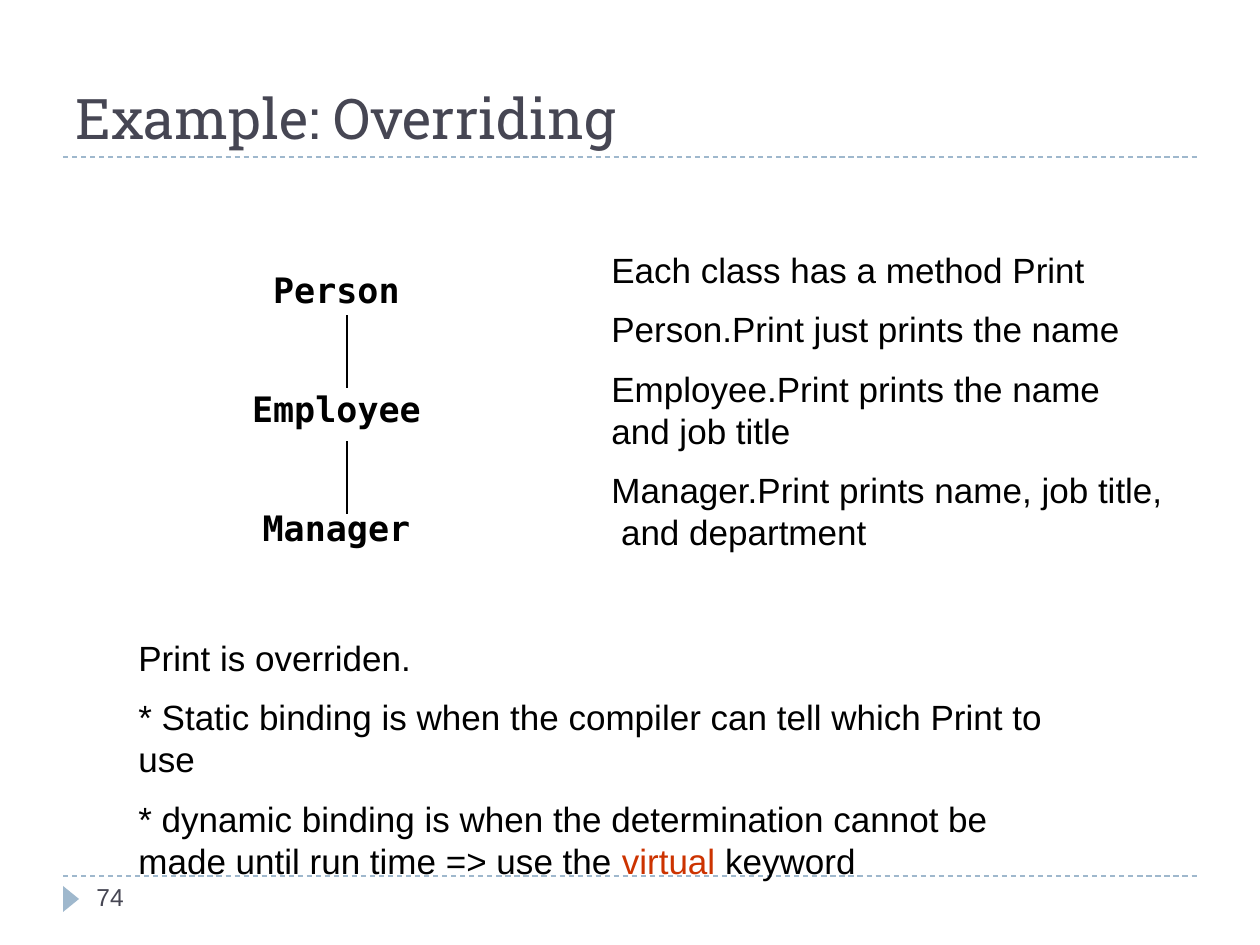
"""Builds the slide on overriding a Print method across three classes."""
from lxml import etree
from pptx import Presentation, util as u
from pptx.dml.color import RGBColor
from pptx.enum import dml, shapes, text
from pptx.oxml.ns import qn

COLORS = {"ink": "000000", "heading": "464653", "accent": "9FB8CD", "keyword": "CC3300"}
SCALE = u.Inches(1) / 126


def px(length):
    return u.Emu(round(length * SCALE))


class SlideBuilder:
    def __init__(self, deck):
        self.page = deck.slides.add_slide(deck.slide_layouts[6])
        self.body_font = "Arial"

    def color(self, name):
        return RGBColor.from_string(COLORS[name])

    def line(self, x1, y1, x2, y2, color, width, dash=None):
        line = self.page.shapes.add_connector(
            shapes.MSO_CONNECTOR.STRAIGHT, px(x1), px(y1), px(x2), px(y2))
        line.line.color.rgb = self.color(color)
        line.line.width = u.Pt(width)
        if dash:
            line.line.dash_style = dash
        etree.SubElement(line._element.spPr, qn("a:effectLst"))

    def triangle(self, x, y, width, height, rotation, color):
        marker = self.page.shapes.add_shape(
            shapes.MSO_SHAPE.ISOSCELES_TRIANGLE, px(x), px(y), px(width), px(height))
        marker.rotation = rotation
        marker.shadow.inherit = False
        marker.fill.solid()
        marker.fill.fore_color.rgb = self.color(color)
        marker.line.fill.background()

    def text(self, x, y, width, height, paragraphs, size=20, font=None, color="ink", bold=False,
             align=text.PP_ALIGN.LEFT, anchor=text.MSO_ANCHOR.TOP, leading=None, gap=0):
        box = self.page.shapes.add_textbox(px(x), px(y), px(width), px(height))
        frame = box.text_frame
        frame.word_wrap = True
        frame.vertical_anchor = anchor
        frame.text = "\n".join(paragraphs)
        for index, para in enumerate(frame.paragraphs):
            para.alignment = align
            if leading:
                para.line_spacing = u.Pt(leading)
            if index:
                para.space_before = u.Pt(gap)
            for span in para.runs:
                self.style(span, size, font or self.body_font, color, bold)
        return frame

    def style(self, span, size, font, color, bold=False):
        span.font.size = u.Pt(size)
        span.font.name = font
        span.font.bold = bold
        span.font.color.rgb = self.color(color)

    def append(self, para, wording, color):
        span = para.add_run()
        span.text = wording
        self.style(span, 20, self.body_font, color)


def main():
    deck = Presentation()
    deck.slide_width, deck.slide_height = px(1260), px(945)
    slide = SlideBuilder(deck)

    for y in (876, 157):
        slide.line(63, y, 1197, y, "accent", 0.75, dml.MSO_LINE.DASH)
    slide.triangle(58, 891, 26, 16, 90, "accent")
    slide.text(84, 876, 273, 50, ["74"], size=14, color="heading")
    slide.text(63, 21, 1134, 136, ["Example: Overriding"], size=32, font="Roboto Slab",
               color="heading", anchor=text.MSO_ANCHOR.BOTTOM)

    slide.text(116, 262, 441, 306, ["Person", "Employee", "Manager"], font="DejaVu Sans Mono",
               bold=True, align=text.PP_ALIGN.CENTER, leading=24, gap=44)
    for top in (315, 441):
        slide.line(347, top, 347, top + 73, "ink", 1)

    slide.text(599, 242, 577, 330, [
        "Each class has a method Print",
        "Person.Print just prints the name",
        "Employee.Print prints the name and job title",
        "Manager.Print prints name, job title,\v and department",
    ], leading=24, gap=10)

    binding = slide.text(126, 630, 945, 265, [
        "Print is overriden.",
        "* Static binding is when the compiler can tell which Print to use",
        "* dynamic binding is when the determination cannot be made until run time => use the ",
    ], leading=24, gap=10)
    slide.append(binding.paragraphs[-1], "virtual", "keyword")
    slide.append(binding.paragraphs[-1], " keyword", "ink")

    deck.save("out.pptx")


if __name__ == "__main__":
    main()
